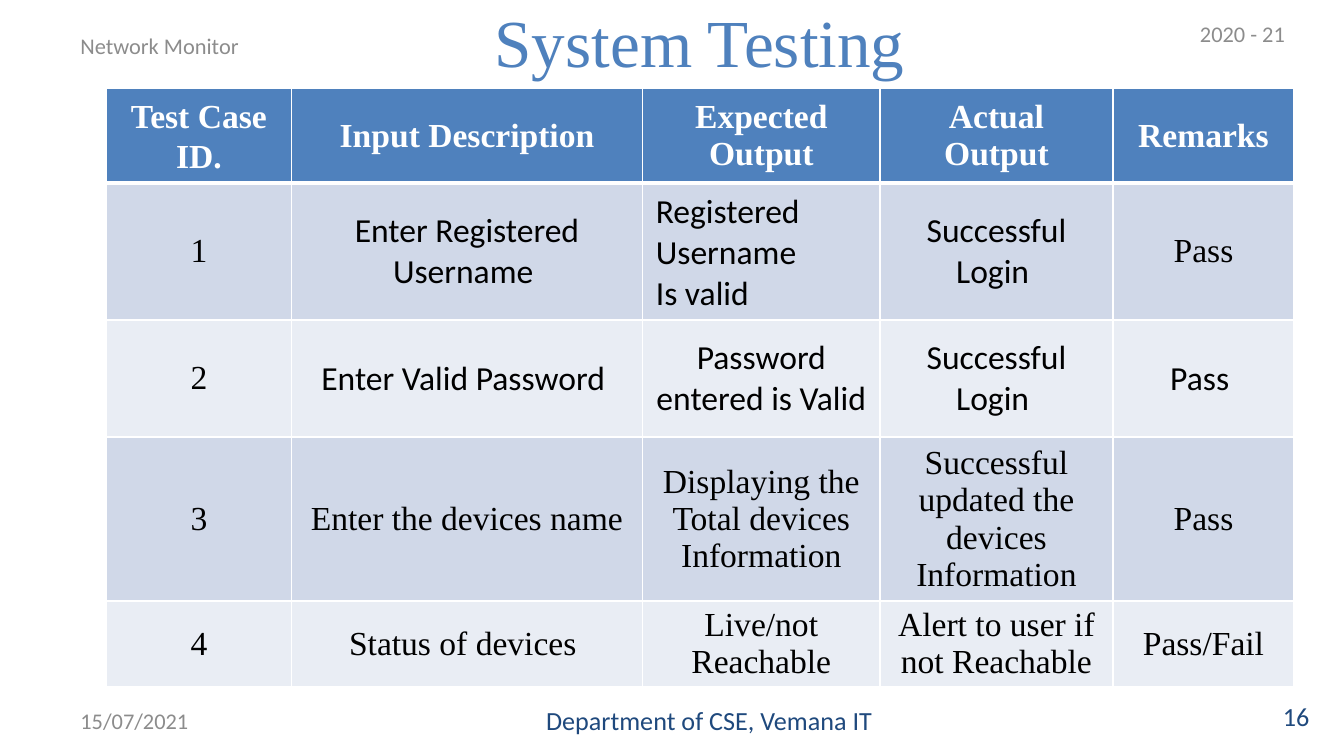
from lxml import etree
from pptx import Presentation
from pptx.dml.color import RGBColor
from pptx.enum.text import MSO_ANCHOR, MSO_AUTO_SIZE, PP_ALIGN
from pptx.oxml.ns import qn
from pptx.util import Inches, Pt

LEFT, MID, RIGHT = PP_ALIGN.LEFT, PP_ALIGN.CENTER, PP_ALIGN.RIGHT
CENTRE, TOP = MSO_ANCHOR.MIDDLE, MSO_ANCHOR.TOP
GROW = MSO_AUTO_SIZE.SHAPE_TO_FIT_TEXT

WHITE = RGBColor(0xFF, 0xFF, 0xFF)
BLACK = RGBColor(0, 0, 0)
BLUE = RGBColor(0x4F, 0x81, 0xBD)
NAVY = RGBColor(0x1F, 0x49, 0x7D)
GREY = RGBColor(0x8C, 0x8C, 0x8C)
BANDS = [RGBColor(0xE9, 0xED, 0xF4), RGBColor(0xD0, 0xD8, 0xE8)]
SERIF, SANS = "Times New Roman", "Calibri"

LABELS = [
    ("15/07/2021", (0.5, 5.21, 2.33, 0.3), LEFT, 12, GREY),
    ("Department of CSE, Vemana IT", (3.42, 5.21, 3.17, 0.3), RIGHT, 14, NAVY),
    ("16", (9.42, 5.15, 0.42, 0.36), RIGHT, 14, NAVY),
    ("2020 - 21", (8.83, 0.06, 1.08, 0.38), LEFT, 12, GREY),
    ("Network Monitor", (0.5, 0.23, 3.08, 0.22), LEFT, 12, GREY),
]
TESTS = [
    ["Test Case ID.", "Input Description", "Expected Output",
     "Actual Output", "Remarks"],
    ["1", "Enter Registered Username ", "Registered Username\nIs valid",
     "Successful Login ", "Pass"],
    ["2", "Enter Valid Password ", "Password entered is Valid ",
     "Successful Login ", "Pass "],
    ["3", "Enter the devices name", "Displaying the Total devices Information",
     "Successful updated the devices Information", "Pass"],
    ["4", "Status of devices ", "Live/not Reachable",
     "Alert to user if not Reachable", "Pass/Fail"],
]
WIDTHS = [1.38, 2.61, 1.77, 1.73, 1.35]
HEIGHTS = [0.63, 0.87, 0.87, 1.13, 0.61]
PADS = [0.03, 0.06, 0.05, 0.01, 0.02]
SANS_COLS = {1: (1, 2, 3), 2: (1, 2, 3, 4)}


def place(shape, box):
    shape.left, shape.top, shape.width, shape.height = map(Inches, box)


def style(frame, align, face, size, color, bold=False):
    for para in frame.paragraphs:
        para.alignment = align
        for run in para.runs:
            font = run.font
            font.name, font.size, font.bold = face, Pt(size), bold
            font.color.rgb = color


def border(cell, row):
    props = cell._tc.get_or_add_tcPr()
    thick = {"T": 3 if row == 1 else 1, "B": 3 if row == 0 else 1}
    for side in "LRTB":
        line = etree.SubElement(props, qn("a:ln" + side),
                                w=str(Pt(thick.get(side, 1))))
        fill = etree.SubElement(line, qn("a:solidFill"))
        etree.SubElement(fill, qn("a:srgbClr"), val=str(WHITE))


deck = Presentation()
deck.slide_width = Inches(10)
deck.slide_height = deck.slide_width * 9 // 16
slide = deck.slides.add_slide(deck.slide_layouts[5])

for text, box, align, size, color in LABELS:
    label = slide.shapes.add_textbox(*map(Inches, box))
    frame = label.text_frame
    frame.word_wrap, frame.vertical_anchor = True, CENTRE
    frame.text = text
    style(frame, align, SANS, size, color)

table = slide.shapes.add_table(
    len(TESTS), len(WIDTHS), Inches(0.79), Inches(0.66),
    Inches(sum(WIDTHS)), Inches(sum(HEIGHTS))).table
for col, width in zip(table.columns, WIDTHS):
    col.width = Inches(width)
for row, (texts, height, pad) in enumerate(zip(TESTS, HEIGHTS, PADS)):
    table.rows[row].height = Inches(height)
    head = row == 0
    for col, text in enumerate(texts):
        cell = table.cell(row, col)
        border(cell, row)
        cell.fill.solid()
        cell.fill.fore_color.rgb = BLUE if head else BANDS[row % 2]
        cell.vertical_anchor = CENTRE
        cell.margin_top = cell.margin_bottom = Inches(pad)
        cell.text_frame.text = text
        face = SANS if col in SANS_COLS.get(row, ()) else SERIF
        align = LEFT if "\n" in text else MID
        style(cell.text_frame, align, face, 18, WHITE if head else BLACK, head)
first = table.cell(0, 0).text_frame.paragraphs[0]
first.line_spacing, first.space_after = 1.07, Pt(3)

title = slide.shapes.title
place(title, (3.58, -0.05, 3.79, 0.71))
frame = title.text_frame
frame.text = "System Testing"
frame.word_wrap, frame.vertical_anchor, frame.auto_size = True, TOP, GROW
style(frame, LEFT, SERIF, 36, BLUE)

deck.save("out.pptx")
